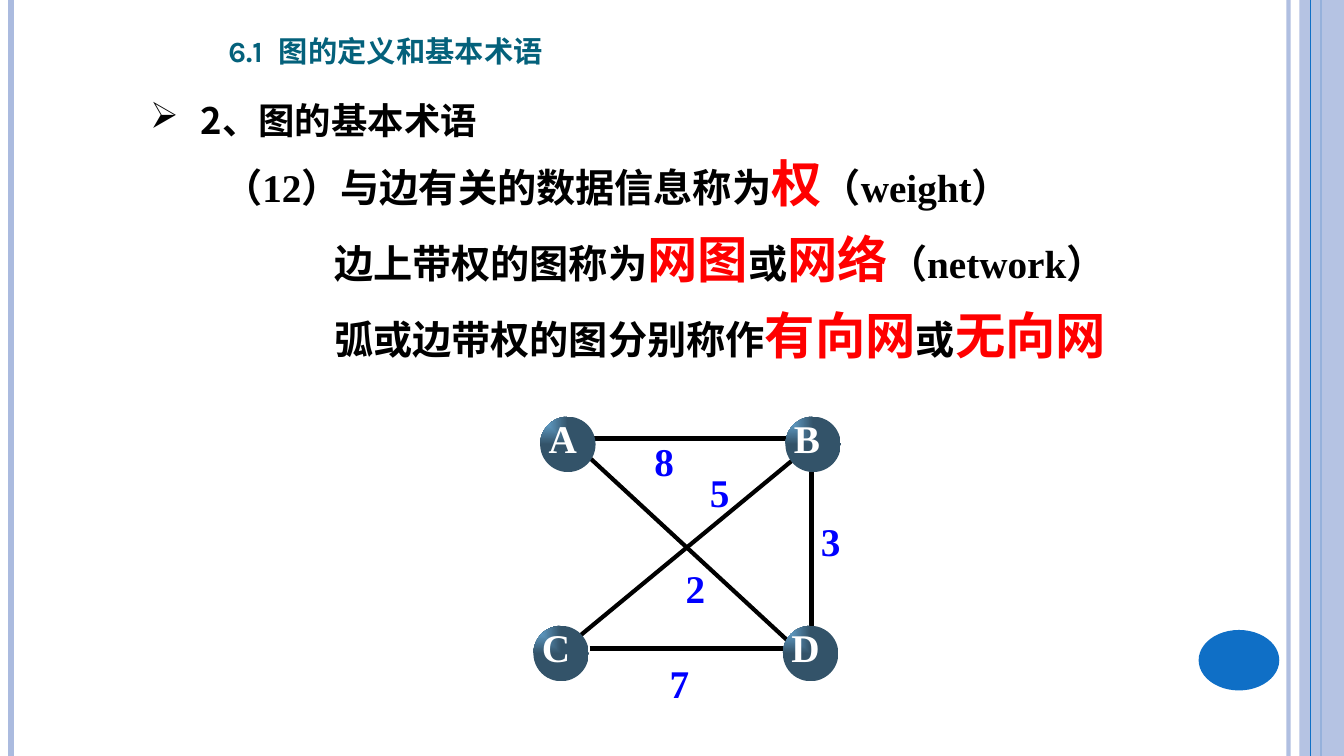
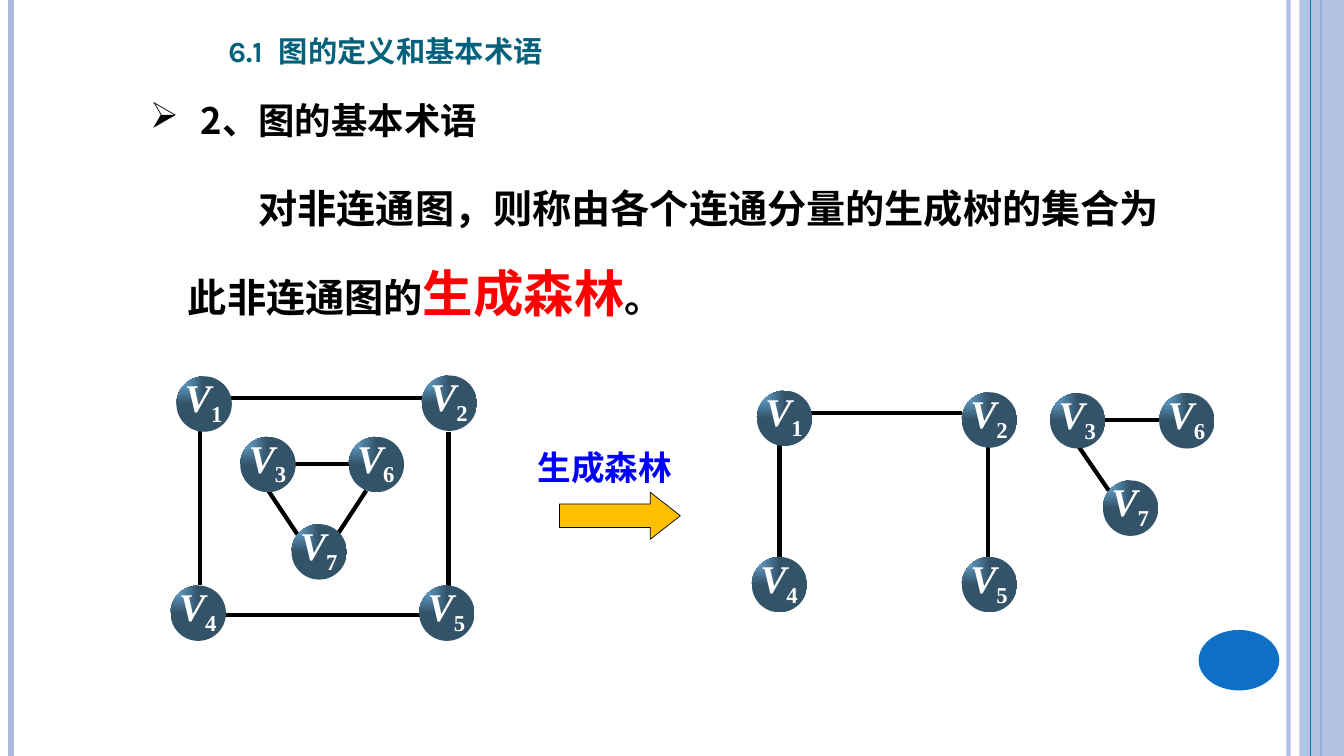
"""Build two slides on basic graph terms: weighted networks and spanning forests."""
from dataclasses import dataclass
from typing import Any

import lxml.etree
import pptx
import pptx.dml.color
import pptx.enum.dml
import pptx.enum.shapes
import pptx.enum.text
import pptx.oxml.ns
import pptx.util

WIDTH, HEIGHT = pptx.util.Inches(13.333), pptx.util.Inches(7.5)
COLUMNS, ROWS = 160, 90
NODE_SIZE = 6.6
LABEL_WIDTH, LABEL_HEIGHT = 6.1, 7.8
BLACK, WHITE, RED, BLUE = "000000", "FFFFFF", "FF0000", "0000FF"
TEAL, ACCENT, PALE = "04617B", "0F6FC6", "ABBBDF"
NODE_LIGHT, NODE_DARK, ARROW_GOLD = "6FB4E3", "335369", "FFC000"
SERIF, SANS, TITLE_FONT = "Times New Roman", "Noto Sans CJK SC", "Karla"
SHAPE = pptx.enum.shapes.MSO_SHAPE


@dataclass(frozen=True)
class Box:
    left: float
    top: float
    width: float
    height: float

    def emu(self) -> tuple[int, int, int, int]:
        return column(self.left), row(self.top), column(self.width), row(self.height)


@dataclass(frozen=True)
class Span:
    text: str
    size: float | None = None
    colour: str | None = None
    italic: bool = False
    subscript: bool = False


@dataclass(frozen=True)
class Style:
    size: float = 28
    colour: str = BLACK
    font: str = SERIF
    small_caps: bool = False
    centred: bool = False
    bottom: bool = False
    tight: bool = False
    line_spacing: float | None = None
    margin: float = 0
    indent: float = 0
    bullet: str = ""
    tab: float = 0


@dataclass(frozen=True)
class Line:
    x1: float
    y1: float
    x2: float
    y2: float
    colour: str = BLACK
    width: float = 3
    opacity: int = 100


@dataclass(frozen=True)
class Label:
    text: str
    left: float
    top: float


@dataclass(frozen=True)
class Graph:
    nodes: tuple[Label, ...]
    edges: tuple[Line, ...]
    weights: tuple[Label, ...] = ()


TITLE = Style(26.2, TEAL, TITLE_FONT, small_caps=True, bottom=True, tab=6.8)
HEADING = Style(26, font=SANS, line_spacing=1.2, margin=6, indent=-6, bullet="➢")
NODE_LABEL = Style(colour=WHITE, tight=True)
WEIGHT_LABEL = Style(colour=BLUE, tight=True)
ARROW_LABEL = Style(24, BLUE, SANS, centred=True)

FRAME_LINES = (
    Line(153.4, 0, 153.4, ROWS, PALE, 3, 93),
    Line(1.3, 0, 1.3, ROWS, PALE, 4.5),
    Line(157.3, 0, 157.3, ROWS, ACCENT, 1.5),
)
FRAME_INNER_LINE = Line(156, 0, 156, ROWS, ACCENT, 0.75)

NETWORK = Graph(
    nodes=(Label("A", 64.3, 49.6), Label("B", 93.5, 49.6),
           Label("C", 63.5, 74.5), Label("D", 93.2, 74.5)),
    edges=(Line(68.3, 76.3, 94.7, 54.5), Line(70.4, 52.2, 94, 52.2),
           Line(96.6, 56.2, 96.6, 75), Line(70.2, 77.2, 93.8, 77.2),
           Line(70.2, 54.5, 93.7, 76.2)),
    weights=(Label("8", 77.8, 51.7), Label("5", 84.4, 55.4), Label("2", 81.5, 66.8),
             Label("7", 79.6, 78.1), Label("3", 97.6, 61.2)),
)
UNCONNECTED = Graph(
    nodes=(Label("V1", 21, 44.8), Label("V2", 50.2, 44.7), Label("V3", 28.6, 52),
           Label("V4", 20.3, 69.7), Label("V5", 49.9, 69.7), Label("V6", 41.5, 52),
           Label("V7", 34.7, 62.4)),
    edges=(Line(26.8, 73.2, 50.3, 73.2), Line(27.2, 47.4, 50.6, 47.4),
           Line(53.4, 51.4, 53.4, 70.2), Line(23.8, 51.2, 23.8, 69.7),
           Line(35, 55.2, 41.6, 55.2), Line(31.8, 58.2, 35.4, 63.6),
           Line(43.6, 58.4, 40.2, 63.6)),
)
FOREST = Graph(
    nodes=(Label("V1", 90.1, 46.5), Label("V2", 114.5, 46.7), Label("V3", 125, 46.8),
           Label("V4", 89.5, 66.3), Label("V5", 114.5, 66.3), Label("V6", 138, 46.8),
           Label("V7", 131.3, 57.2)),
    edges=(Line(96.5, 49.2, 114.5, 49.2), Line(117.6, 53.2, 117.6, 72),
           Line(92.8, 53, 92.8, 71.5), Line(131.5, 50, 138.1, 50),
           Line(128.3, 53, 132, 58.4)),
)


def column(count: float) -> int:
    return round(WIDTH * count / COLUMNS)


def row(count: float) -> int:
    return round(HEIGHT * count / ROWS)


def rgb(colour: str) -> pptx.dml.color.RGBColor:
    return pptx.dml.color.RGBColor.from_string(colour)


def add_child(parent: Any, tag: str, **attributes: str) -> Any:
    return lxml.etree.SubElement(parent, pptx.oxml.ns.qn(tag), attributes)


def set_opacity(element: Any, percent: int) -> None:
    for colour in element.iter(pptx.oxml.ns.qn("a:srgbClr")):
        add_child(colour, "a:alpha", val=str(percent * 1000))


def emphasis(text: str) -> Span:
    return Span(text, 36, RED)


def draw_line(shapes: Any, line: Line) -> None:
    connector = shapes.add_connector(
        pptx.enum.shapes.MSO_CONNECTOR.STRAIGHT,
        column(line.x1), row(line.y1), column(line.x2), row(line.y2))
    connector.line.color.rgb = rgb(line.colour)
    connector.line.width = pptx.util.Pt(line.width)
    properties = connector.element.spPr
    if line.opacity < 100:
        set_opacity(properties, line.opacity)
    add_child(properties, "a:effectLst")


def draw_shape(shapes: Any, kind: Any, box: Box, colour: str) -> Any:
    shape = shapes.add_shape(kind, *box.emu())
    shape.shadow.inherit = False
    shape.fill.solid()
    shape.fill.fore_color.rgb = rgb(colour)
    shape.line.fill.background()
    return shape


def draw_text(shapes: Any, box: Box, style: Style, *spans: Span) -> None:
    frame = shapes.add_textbox(*box.emu()).text_frame
    frame.word_wrap = True
    if style.bottom:
        frame.vertical_anchor = pptx.enum.text.MSO_ANCHOR.BOTTOM
    if style.tight:
        frame.margin_left = frame.margin_bottom = pptx.util.Inches(0.01)
        frame.margin_top, frame.margin_right = pptx.util.Inches(0.03), 0
    paragraph = frame.paragraphs[0]
    if style.centred:
        paragraph.alignment = pptx.enum.text.PP_ALIGN.CENTER
    if style.line_spacing:
        paragraph.line_spacing = style.line_spacing
    properties = paragraph._p.get_or_add_pPr()
    properties.set("marL", str(column(style.margin)))
    properties.set("indent", str(column(style.indent)))
    if style.bullet:
        add_child(properties, "a:buChar", char=style.bullet)
    if style.tab:
        tabs = add_child(properties, "a:tabLst")
        add_child(tabs, "a:tab", pos=str(column(style.tab)), algn="l")
    font = paragraph.font
    font.name, font.bold, font.size = style.font, True, pptx.util.Pt(style.size)
    font.color.rgb = rgb(style.colour)
    defaults = properties.find(pptx.oxml.ns.qn("a:defRPr"))
    add_child(defaults, "a:ea", typeface=SANS)
    if style.small_caps:
        defaults.set("cap", "small")
    for span in spans:
        run = paragraph.add_run()
        run.text = span.text
        if span.size:
            run.font.size = pptx.util.Pt(span.size)
        if span.colour:
            run.font.color.rgb = rgb(span.colour)
        if span.italic:
            run.font.italic = True
        if span.subscript:
            run._r.get_or_add_rPr().set("baseline", "-25000")


def draw_node(shapes: Any, node: Label) -> None:
    ball = draw_shape(shapes, SHAPE.OVAL,
                      Box(node.left, node.top, NODE_SIZE, NODE_SIZE), NODE_DARK)
    ball.fill.gradient()
    for stop, colour in zip(ball.fill.gradient_stops, (NODE_LIGHT, NODE_DARK)):
        stop.color.rgb = rgb(colour)
    gradient = ball.element.spPr.find(pptx.oxml.ns.qn("a:gradFill"))
    gradient.remove(gradient.find(pptx.oxml.ns.qn("a:lin")))
    focus = add_child(gradient, "a:path", path="rect")
    add_child(focus, "a:fillToRect", r="100000", b="100000")
    letter, index = node.text[0], node.text[1:]
    spans = [Span(letter, italic=bool(index))]
    if index:
        spans.append(Span(index, subscript=True))
    draw_text(shapes, Box(node.left + 0.9, node.top - 0.7, LABEL_WIDTH, LABEL_HEIGHT),
              NODE_LABEL, *spans)


def draw_graph(slide: Any, graph: Graph) -> None:
    shapes = slide.shapes.add_group_shape().shapes
    for edge in graph.edges:
        draw_line(shapes, edge)
    for node in graph.nodes:
        draw_node(shapes, node)
    for weight in graph.weights:
        draw_text(shapes, Box(weight.left, weight.top, LABEL_WIDTH, LABEL_HEIGHT),
                  WEIGHT_LABEL, Span(weight.text))


def add_slide(presentation: Any) -> Any:
    slide = presentation.slides.add_slide(presentation.slide_layouts[6])
    shapes = slide.shapes
    for line in FRAME_LINES:
        draw_line(shapes, line)
    band = draw_shape(shapes, SHAPE.RECTANGLE, Box(154.7, 0, 5.3, ROWS), PALE)
    set_opacity(band.element.spPr, 87)
    draw_line(shapes, FRAME_INNER_LINE)
    draw_shape(shapes, SHAPE.OVAL, Box(142.7, 75, 9.6, 7.2), ACCENT)
    draw_text(shapes, Box(26, 1.6, 53.5, 7.3), TITLE, Span("6.1\t图的定义和基本术语"))
    draw_text(shapes, Box(16.7, 10.1, 66, 7.4), HEADING, Span("2、图的基本术语"))
    return slide


def build_network_slide(presentation: Any) -> None:
    slide = add_slide(presentation)
    draw_text(slide.shapes, Box(25.4, 17.5, 109, 7.9), Style(),
              Span("（12）与边有关的数据信息称为"), emphasis("权"), Span("（weight）"))
    draw_text(slide.shapes, Box(26, 26.6, 109.6, 8.5), Style(margin=12.6),
              Span("边上带权的图称为"), emphasis("网图"), Span("或"),
              emphasis("网络"), Span("（network）"))
    draw_text(slide.shapes, Box(26, 34.2, 114.4, 10), Style(line_spacing=1.2, margin=12.6),
              Span("弧或边带权的图分别称作"), emphasis("有向网"), Span("或"), emphasis("无向网"))
    draw_graph(slide, NETWORK)


def build_forest_slide(presentation: Any) -> None:
    slide = add_slide(presentation)
    draw_graph(slide, UNCONNECTED)
    draw_graph(slide, FOREST)
    shapes = slide.shapes.add_group_shape().shapes
    arrow = draw_shape(shapes, SHAPE.RIGHT_ARROW, Box(66.6, 58.6, 14.4, 5.6), ARROW_GOLD)
    arrow.adjustments[1] = 0.64
    arrow.line.color.rgb = rgb(BLACK)
    arrow.line.width = pptx.util.Pt(0.5)
    draw_text(shapes, Box(61.8, 52.6, 20.4, 6), ARROW_LABEL, Span("生成森林"))
    draw_text(slide.shapes, Box(21.2, 18.6, 121.1, 19.6), Style(line_spacing=1.5, indent=8.4),
              Span("对非连通图，则称由各个连通分量的生成树的集合为此非连通图的"),
              emphasis("生成森林"), Span("。"))


def main() -> None:
    presentation = pptx.Presentation()
    presentation.slide_width, presentation.slide_height = WIDTH, HEIGHT
    build_network_slide(presentation)
    build_forest_slide(presentation)
    presentation.save("out.pptx")


if __name__ == "__main__":
    main()
